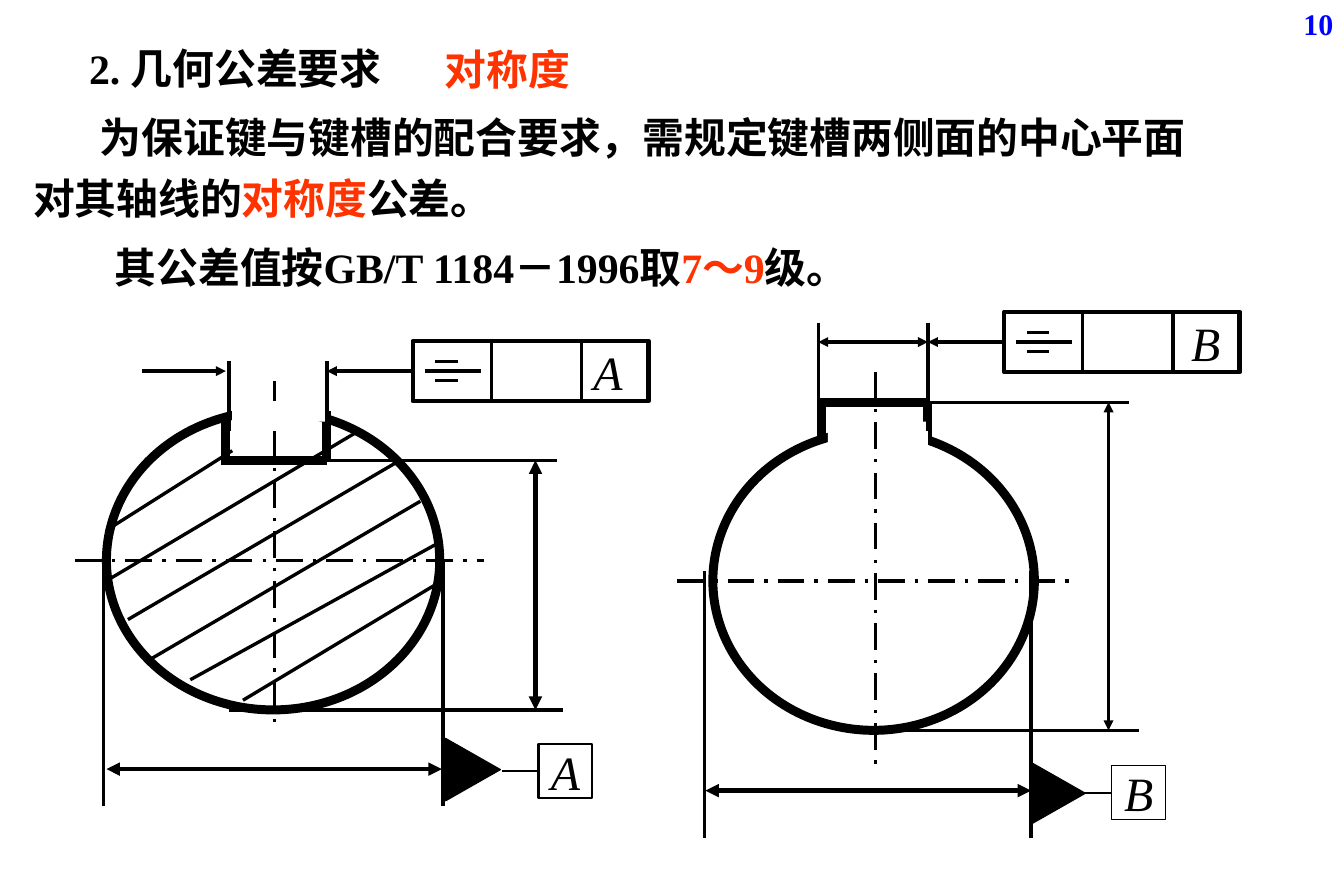
import pptx
import pptx.util
import pptx.dml.color
import pptx.enum.dml
import pptx.enum.shapes
import pptx.enum.text
import pptx.oxml
import pptx.oxml.ns
from dataclasses import dataclass

Inches = pptx.util.Inches
Pt = pptx.util.Pt
qn = pptx.oxml.ns.qn
Shape = pptx.enum.shapes.MSO_SHAPE
Align = pptx.enum.text.PP_ALIGN
Anchor = pptx.enum.text.MSO_ANCHOR
RGB = pptx.dml.color.RGBColor.from_string


@dataclass(frozen=True)
class Theme:
    ink: str = "000000"
    white: str = "FFFFFF"
    red: str = "FF3300"
    blue: str = "0000FF"
    latin: str = "Times New Roman"
    asian: str = "Noto Sans CJK SC"
    body: int = 28
    page: int = 20
    label: int = 32
    thin: float = 2.25
    thick: float = 6


theme = Theme()

deck = pptx.Presentation()
deck.slide_width = Inches(12.5)
deck.slide_height = Inches(8.33)
slide = deck.slides.add_slide(deck.slide_layouts[6])


def write(para, text, size=theme.body, color=theme.ink, bold=True, italic=False):
    run = para.add_run()
    run.text = text
    font = run.font
    font.size = Pt(size)
    font.bold = bold
    font.italic = italic
    font.color.rgb = RGB(color)
    font.name = theme.latin
    props = run._r.get_or_add_rPr()
    asian = pptx.oxml.parse_xml(
        '<a:ea xmlns:a="http://schemas.openxmlformats.org/drawingml/2006/main"/>')
    asian.set("typeface", theme.asian)
    props.append(asian)


def rule(x1, y1, x2, y2, width=theme.thin, style=""):
    line = slide.shapes.add_connector(
        pptx.enum.shapes.MSO_CONNECTOR.STRAIGHT,
        Inches(x1), Inches(y1), Inches(x2), Inches(y2))
    line.line.width = Pt(width)
    line.line.color.rgb = RGB(theme.ink)
    if style == "axis":
        line.line.dash_style = pptx.enum.dml.MSO_LINE.LONG_DASH_DOT
    stroke = line.line._get_or_add_ln()
    for tag, styles in (("a:headEnd", ("head", "both")), ("a:tailEnd", ("tail", "both"))):
        if style in styles:
            tip = stroke.makeelement(qn(tag), {"type": "triangle"})
            stroke.append(tip)
    props = line._element.spPr
    props.append(props.makeelement(qn("a:effectLst"), {}))
    return line


notes = [
    (9.9, 0, 2.6, 0.56, 1, 0, Align.RIGHT,
     [("10", theme.page, theme.blue)]),
    (0.73, 0.35, 6.46, 0.57, 1, 0, Align.LEFT,
     [("2. 几何公差要求", theme.body, theme.ink)]),
    (0.21, 0.9, 11.02, 1.22, 1.2, 0.62, Align.LEFT,
     [("为保证键与键槽的配合要求，需规定键槽两侧面的中心平面对其轴线的", theme.body, theme.ink),
      ("对称度", theme.body, theme.red),
      ("公差。", theme.body, theme.ink)]),
    (4.04, 0.36, 3.15, 0.63, 1, 0, Align.LEFT,
     [("对称度", theme.body, theme.red)]),
    (0.97, 2.1, 9.5, 0.61, 1.2, 0, Align.LEFT,
     [("其公差值按GB/T 1184－1996取", theme.body, theme.ink),
      ("7～9", theme.body, theme.red),
      ("级。", theme.body, theme.ink)]),
]
for x, y, w, h, space, indent, align, runs in notes:
    box = slide.shapes.add_textbox(Inches(x), Inches(y), Inches(w), Inches(h))
    box.text_frame.word_wrap = True
    para = box.text_frame.paragraphs[0]
    para.alignment = align
    para.line_spacing = space
    if indent:
        para._p.get_or_add_pPr().set("indent", str(Inches(indent)))
    for text, size, color in runs:
        write(para, text, size=size, color=color)

thick = theme.thick
shaft = dict(
    name="A", disc=(0.99, 3.82, 3.1, 2.78), mask=(2.16, 3.73, 0.88, 0.19),
    under=[
        (0.7, 5.21, 4.5, 5.21, 2.25, "axis"),
        (2.55, 3.54, 2.55, 6.78, 2.25, "axis"),
        (2.1, 3.91, 2.1, 4.28, thick),
        (3.04, 3.82, 3.04, 4.28, thick),
        (2.06, 4.28, 3.04, 4.28, thick),
    ],
    over=[
        (2.13, 3.36, 2.13, 4.01),
        (3.04, 3.36, 3.04, 4.01),
        (1.32, 3.45, 2.1, 3.45, 2.25, "tail"),
        (2.16, 4.19, 0.99, 4.93),
        (3.33, 4.01, 0.99, 5.4),
        (1.19, 5.76, 3.72, 4.28),
        (1.38, 6.14, 3.91, 4.66),
        (1.77, 6.32, 4.11, 5.03),
        (2.26, 6.51, 4.11, 5.4),
        (2.13, 6.6, 5.24, 6.6),
        (2.06, 4.28, 5.18, 4.28),
        (4.98, 4.28, 4.98, 6.6, 3, "both"),
        (0.96, 5.21, 0.96, 7.49),
        (4.12, 5.21, 4.12, 7.49),
        (0.99, 7.15, 4.11, 7.15, 3, "both"),
    ],
    frame=(3.84, 3.17), pad=0.24, lead=3.04,
    wedge=(4.11, 6.9), stem=4.67, datum=(5.01, 6.92), edge=1.5)

hub = dict(
    name="B", disc=(6.63, 4.01, 2.99, 2.78), mask=(7.7, 3.92, 0.93, 0.37),
    under=[
        (6.3, 5.4, 9.94, 5.4, 2.25, "axis"),
        (7.64, 3.74, 7.64, 4.11, thick),
        (8.63, 3.74, 8.63, 4.11, thick),
        (7.62, 3.74, 8.65, 3.74, thick),
    ],
    over=[
        (8.14, 3.46, 8.14, 7.16, 2.25, "axis"),
        (8.17, 3.74, 10.5, 3.74),
        (7.98, 6.79, 10.59, 6.79),
        (10.31, 3.74, 10.31, 6.79, 2.25, "both"),
        (7.61, 3, 7.61, 3.83),
        (8.63, 3, 8.63, 4.01),
        (7.61, 3.18, 8.63, 3.18, 2.25, "both"),
        (6.55, 5.31, 6.55, 7.79),
        (9.59, 5.31, 9.59, 7.79),
        (6.56, 7.35, 9.59, 7.35, 3, "both"),
    ],
    frame=(9.34, 2.9), pad=0.18, lead=8.63,
    wedge=(9.55, 7.12), stem=10.01, datum=(10.34, 7.12), edge=0.75)

for part in (shaft, hub):
    left, top = part["frame"]
    mid = top + 0.28
    plan = [
        ("disc", Shape.OVAL, part["disc"], theme.white, thick),
        ("mask", Shape.RECTANGLE, part["mask"], theme.white, 0),
        ("frame", Shape.RECTANGLE, (left, top, 2.19, 0.56), None, 3),
        ("wedge", Shape.ISOSCELES_TRIANGLE, (*part["wedge"], 0.58, 0.51), theme.ink, 0.75),
        ("datum", Shape.RECTANGLE, (*part["datum"], 0.5, 0.5), theme.white, part["edge"]),
    ]
    made = {}
    for role, kind, place, fill, width in plan:
        shape = slide.shapes.add_shape(kind, *map(Inches, place))
        shape.shadow.inherit = False
        if fill:
            shape.fill.solid()
            shape.fill.fore_color.rgb = RGB(fill)
        else:
            shape.fill.background()
        if width:
            shape.line.width = Pt(width)
            shape.line.color.rgb = RGB(theme.ink)
        else:
            shape.line.fill.background()
        made[role] = shape
        if role == "disc":
            for row in part["under"]:
                rule(*row)
        elif role == "mask":
            for row in part["over"]:
                rule(*row)
        elif role == "wedge":
            shape.rotation = 90
        else:
            body = shape.text_frame
            body.word_wrap = False
            body.vertical_anchor = Anchor.MIDDLE
            body.margin_top = body.margin_bottom = 0
            para = body.paragraphs[0]
            para.alignment = Align.CENTER
            if role == "frame":
                body.word_wrap = True
                body.margin_right = Inches(part["pad"])
                para.alignment = Align.RIGHT
            write(para, part["name"], size=theme.label, bold=False, italic=True)

    for step in (0.73, 1.57):
        rule(left + step, top, left + step, top + 0.56)
    for inset, drop in ((0.21, -0.09), (0.21, 0.09), (0.11, 0)):
        rule(left + inset, mid + drop, left + 0.84 - inset - 0.21 * (inset == 0.21) + 0.0 - 0.1 * (inset == 0.11), mid + drop)

    arrow = rule(part["lead"], mid, left, mid, style="head")
    arrow.end_connect(made["frame"], 1)
    x, y = part["datum"]
    stem = rule(part["stem"], y + 0.25, x, y + 0.25, 1.5)
    stem.end_connect(made["datum"], 1)

deck.save("out.pptx")
